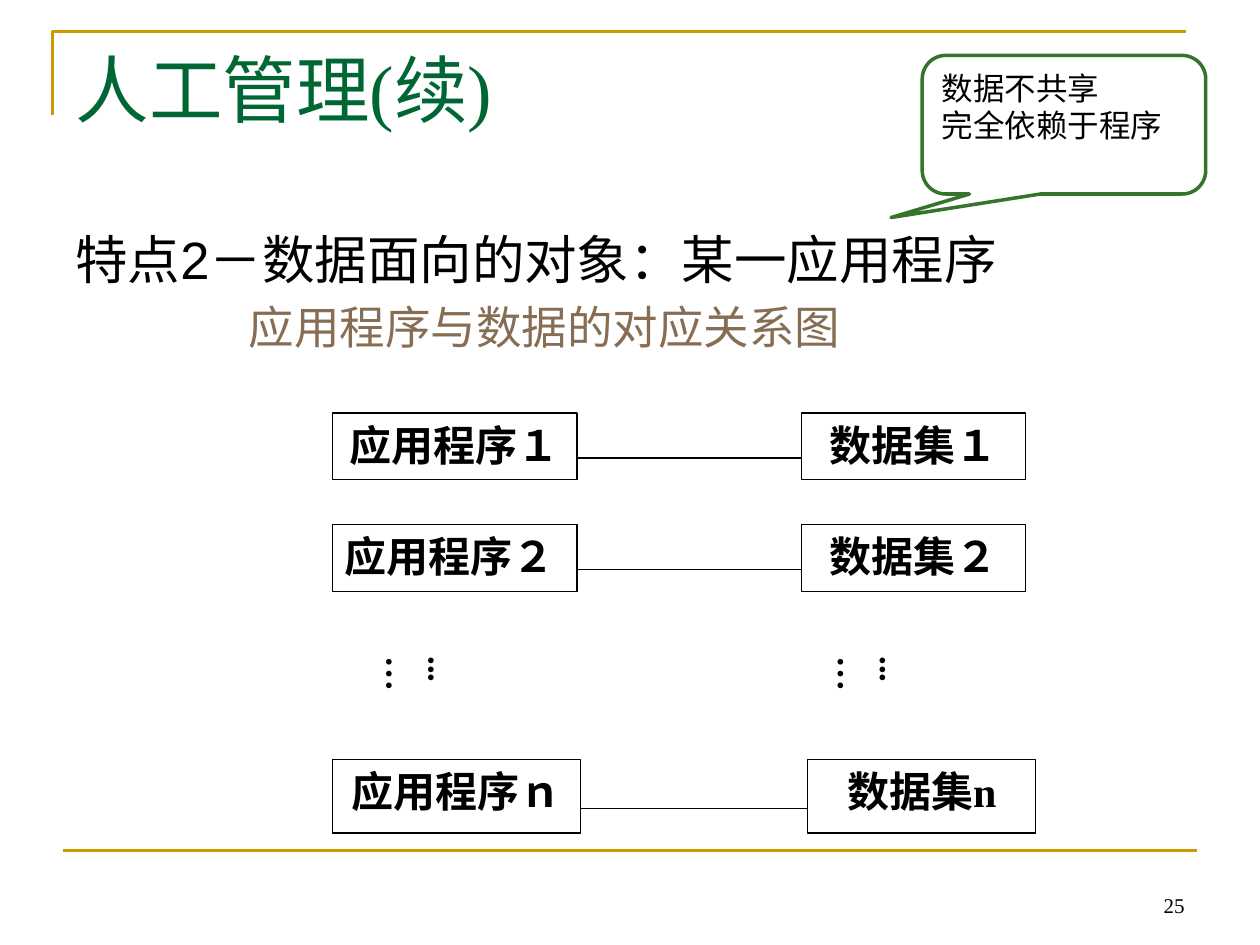
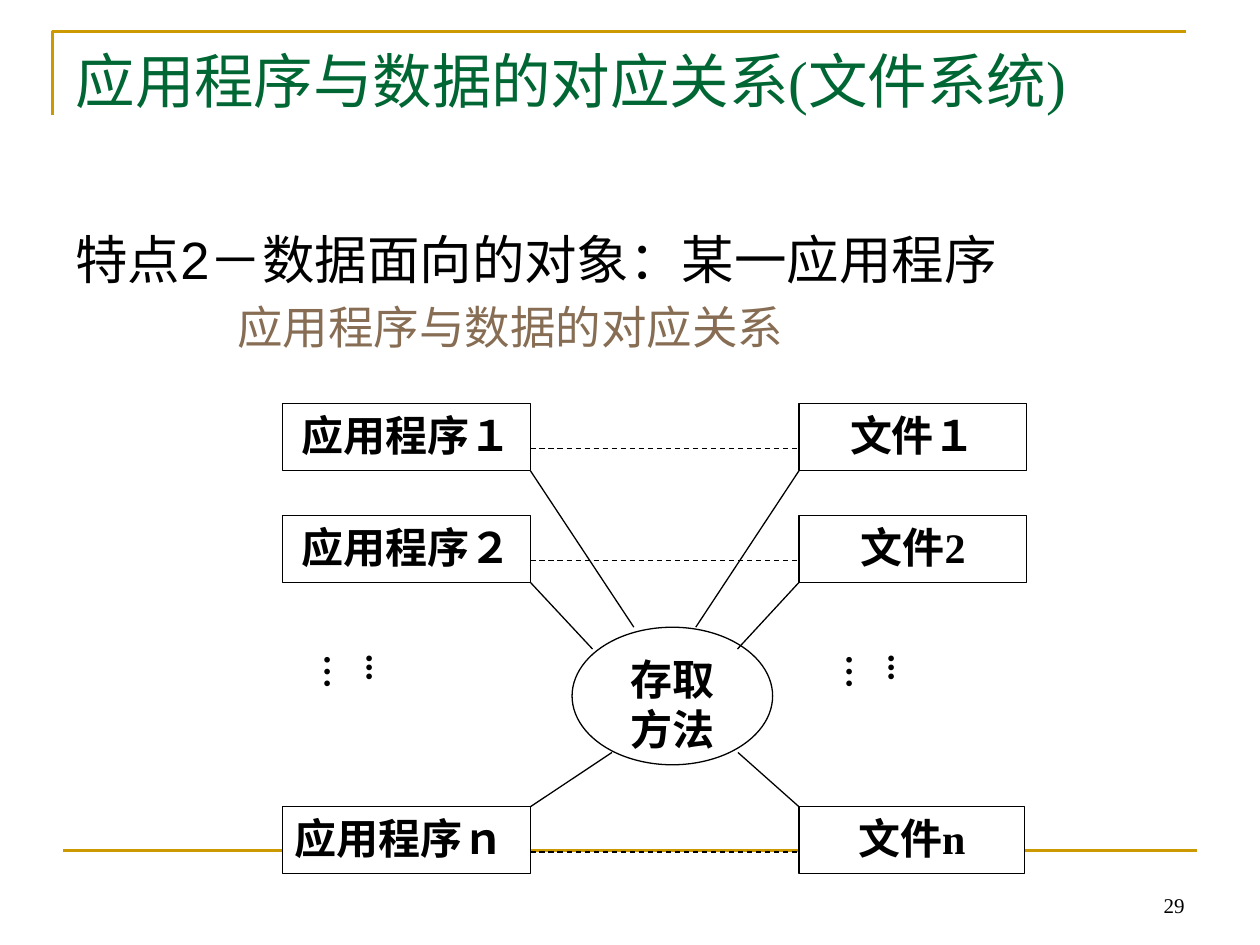
from lxml.etree import SubElement
from pptx import Presentation
from pptx.dml.color import RGBColor
from pptx.enum.dml import MSO_LINE
from pptx.enum.lang import MSO_LANGUAGE_ID as Lang
from pptx.enum.shapes import MSO_CONNECTOR, MSO_SHAPE as Preset
from pptx.enum.text import MSO_ANCHOR as Anchor, MSO_AUTO_SIZE, PP_ALIGN as Align
from pptx.oxml.ns import qn
from pptx.util import Pt

BLACK = RGBColor(0x00, 0x00, 0x00)
WHITE = RGBColor(0xFF, 0xFF, 0xFF)
GOLD = RGBColor(0xCC, 0x99, 0x00)
TITLE_GREEN = RGBColor(0x00, 0x66, 0x33)
CALLOUT_GREEN = RGBColor(0x35, 0x74, 0x2A)
BROWN = RGBColor(0x87, 0x6D, 0x53)
SERIF = "Times New Roman"
SANS = "Arial"
FEATURE = "特点2－数据面向的对象：某一应用程序"
LINK_DROP = 25.8


class Deck:
    def __init__(self):
        self.file = Presentation()
        self.file.slide_width, self.file.slide_height = Pt(720), Pt(540)
        self.slide = None

    def style(self, paragraph, size, color=BLACK, font=SERIF, bold=False, align=Align.LEFT):
        paragraph.alignment = align
        for run in paragraph.runs:
            run.font.size = Pt(size)
            run.font.name = font
            run.font.bold = bold
            run.font.color.rgb = color
            run.font.language_id = Lang.SIMPLIFIED_CHINESE

    def start(self, title, title_size, number):
        self.slide = self.file.slides.add_slide(self.file.slide_layouts[5])
        self.frame()
        heading = self.slide.shapes.title
        heading.left, heading.top, heading.width, heading.height = map(Pt, (36, 21.6, 648, 90))
        frame = heading.text_frame
        frame.text = title
        frame.auto_size = MSO_AUTO_SIZE.NONE
        frame.vertical_anchor = Anchor.TOP
        self.style(frame.paragraphs[0], title_size, TITLE_GREEN)
        page = self.text(str(number), 516, 492, 168, 36, 12, align=Align.RIGHT)
        page.vertical_anchor = Anchor.BOTTOM

    def frame(self):
        outline = self.slide.shapes.build_freeform(Pt(30), Pt(66))
        outline.add_line_segments([(Pt(30), Pt(18)), (Pt(678), Pt(18))], close=False)
        corner = outline.convert_to_shape()
        corner.shadow.inherit = False
        corner.fill.background()
        corner.line.color.rgb = GOLD
        corner.line.width = Pt(1.5)
        self.line(36, 486, 684, 486, GOLD, 1.5)

    def text(self, words, x, y, w, h, size, **look):
        frame = self.slide.shapes.add_textbox(Pt(x), Pt(y), Pt(w), Pt(h)).text_frame
        frame.word_wrap = True
        frame.text = words
        for paragraph in frame.paragraphs:
            self.style(paragraph, size, **look)
        return frame

    def feature(self, caption, indent):
        frame = self.text(FEATURE, 36, 126, 648, 356, 30, font=SANS)
        subtitle = frame.add_paragraph()
        subtitle.text = caption
        subtitle.space_before = Pt(5.2)
        self.style(subtitle, 26, BROWN, SANS)
        subtitle._p.get_or_add_pPr().set("marL", str(Pt(indent)))

    def line(self, x1, y1, x2, y2, color=BLACK, width=0.75, dashed=False):
        link = self.slide.shapes.add_connector(
            MSO_CONNECTOR.STRAIGHT, Pt(x1), Pt(y1), Pt(x2), Pt(y2))
        link.line.color.rgb = color
        link.line.width = Pt(width)
        if dashed:
            link.line.dash_style = MSO_LINE.DASH
        SubElement(link._element.spPr, qn("a:effectLst"))

    def shape(self, preset, words, x, y, w, h, size=24, border=BLACK, width=0.75,
              font=SERIF, bold=True, align=Align.CENTER):
        node = self.slide.shapes.add_shape(preset, Pt(x), Pt(y), Pt(w), Pt(h))
        node.shadow.inherit = False
        node.fill.solid()
        node.fill.fore_color.rgb = WHITE
        node.line.color.rgb = border
        node.line.width = Pt(width)
        frame = node.text_frame
        frame.word_wrap = True
        frame.vertical_anchor = Anchor.TOP
        frame.text = words
        for paragraph in frame.paragraphs:
            self.style(paragraph, size, font=font, bold=bold, align=align)
        return node

    def pair(self, program, data, y, left, right, height=38.2, drop=LINK_DROP,
             dashed=False, program_align=Align.CENTER):
        (left_x, left_w), (right_x, right_w) = left, right
        self.shape(Preset.RECTANGLE, program, left_x, y, left_w, height, align=program_align)
        self.shape(Preset.RECTANGLE, data, right_x, y, right_w, height)
        self.line(left_x + left_w, y + drop, right_x, y + drop, dashed=dashed)

    def ellipses(self, lefts, y, w, h):
        for x in lefts:
            dots = self.text("...…", x, y, w, h, 20, bold=True)
            dots.margin_right = Pt(17.2)
            dots._txBody.bodyPr.set("vert", "eaVert")


def manual_management(deck):
    deck.start("人工管理(续)", 42, 25)
    deck.feature("应用程序与数据的对应关系图", 99)
    programs, sets = (190, 139.8), (457.9, 128.2)
    deck.pair("应用程序１", "数据集１", 236, programs, sets)
    deck.pair("应用程序２", "数据集２", 299.7, programs, sets, program_align=Align.JUSTIFY)
    deck.pair("应用程序ｎ", "数据集n", 434, (190, 141.8), (461.6, 130.3), height=42, drop=28)
    deck.ellipses((244, 502), 368, 38.2, 48.2)
    callout = deck.shape(Preset.ROUNDED_RECTANGULAR_CALLOUT, "数据不共享\n完全依赖于程序",
                         527, 31.7, 162, 79.2, 18, CALLOUT_GREEN, 2, SANS, False, Align.LEFT)
    for index, value in enumerate((-0.61, 0.67, 0.17)):
        callout.adjustments[index] = value


def file_system(deck):
    deck.start("应用程序与数据的对应关系(文件系统)", 34, 29)
    deck.feature("应用程序与数据的对应关系", 92.5)
    programs, files = (161.3, 141.8), (456.6, 130.2)
    inner_left, inner_right = sum(programs), files[0]
    deck.pair("应用程序１", "文件１", 230.6, programs, files, dashed=True)
    deck.pair("应用程序２", "文件2", 294.6, programs, files, dashed=True)
    deck.pair("应用程序ｎ", "文件n", 461, programs, (456.6, 128.8), dashed=True,
              program_align=Align.JUSTIFY)
    deck.shape(Preset.OVAL, "存取方法", 326.9, 358.4, 114.6, 78.6)
    for corner_y, left_x, right_x, touch_y in (
            (269, 362.2, 397.6, 358.4), (332.8, 338.6, 421.4, 370.9), (461, 349.7, 421.7, 430)):
        deck.line(inner_left, corner_y, left_x, touch_y)
        deck.line(inner_right, corner_y, right_x, touch_y)
    deck.ellipses((184.3, 482.6), 367.2, 62.6, 40.3)


def main():
    deck = Deck()
    manual_management(deck)
    file_system(deck)
    deck.file.save("out.pptx")


if __name__ == "__main__":
    main()
